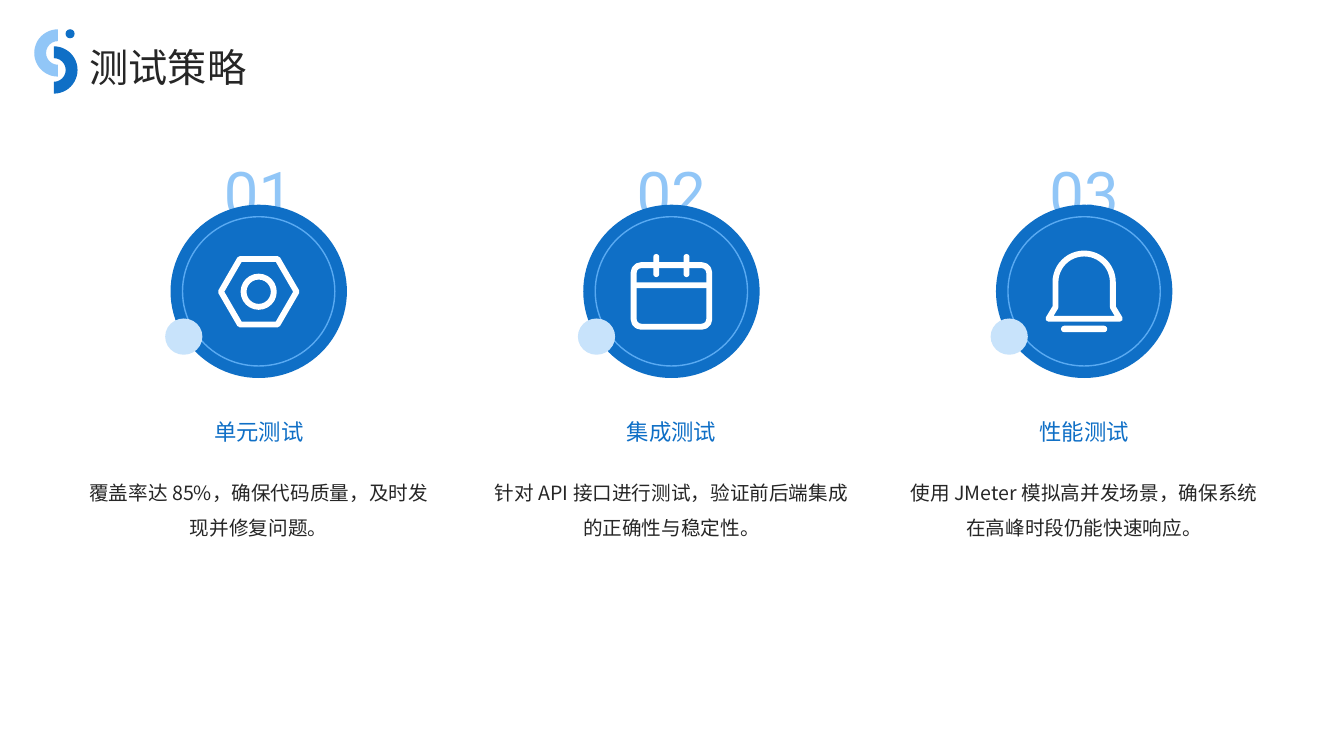
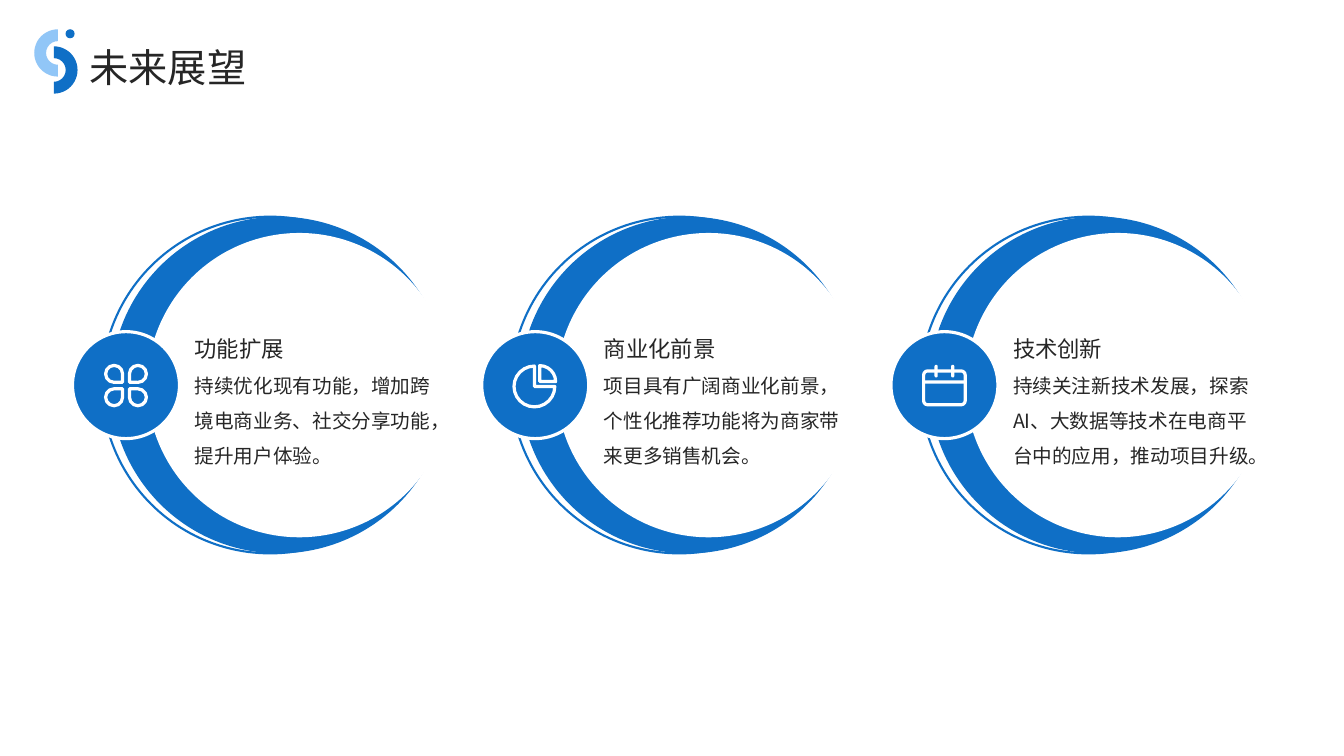
from math import cos, pi, sin

from lxml import etree
from pptx import Presentation
from pptx.dml.color import RGBColor
from pptx.enum.shapes import MSO_SHAPE as Preset
from pptx.enum.text import MSO_ANCHOR as Anchor, PP_ALIGN as Align
from pptx.oxml.ns import qn
from pptx.util import Pt

BLUE, LIGHT_BLUE, PALE_BLUE, RING_BLUE = "0F6FC6", "91C6F7", "C8E3FB", "59AAF2"
INK, WHITE = "262626", "FFFFFF"
color_of = RGBColor.from_string
STROKE = 4.2


def add_shape(slide, preset, box, fill=None, line=None, width=1, rotation=0,
              adjustments=(), points=()):
    """Draw a preset in box (left, top, width, height), or a closed outline through points."""
    if points:
        corners = [(Pt(x), Pt(y)) for x, y in points]
        builder = slide.shapes.build_freeform(*corners[0])
        builder.add_line_segments(corners[1:], close=True)
        shape = builder.convert_to_shape()
    else:
        shape = slide.shapes.add_shape(preset, *map(Pt, box))
    shape.shadow.inherit = False
    shape.rotation = rotation
    for index, value in enumerate(adjustments):
        shape.adjustments[index] = value
    if fill:
        shape.fill.solid()
        shape.fill.fore_color.rgb = color_of(fill)
    else:
        shape.fill.background()
    if line:
        shape.line.color.rgb = color_of(line)
        shape.line.width = Pt(width)
    else:
        shape.line.fill.background()


def add_text(slide, text, box, size=14, color=INK, fade_to=None, font="Noto Sans CJK SC",
             align=Align.LEFT, anchor=Anchor.TOP, spacing=1.3):
    """Add a text box without margins; fade_to turns the colour into a downward gradient."""
    frame = slide.shapes.add_textbox(*map(Pt, box)).text_frame
    frame.word_wrap = True
    frame.vertical_anchor = anchor
    frame.margin_left = frame.margin_right = frame.margin_top = frame.margin_bottom = 0
    paragraph = frame.paragraphs[0]
    paragraph.alignment = align
    paragraph.line_spacing = spacing
    run = paragraph.add_run()
    run.text = text
    run.font.size = Pt(size)
    run.font.name = font
    etree.SubElement(run._r.get_or_add_rPr(), qn("a:ea"), typeface=font)
    if fade_to:
        run.font.fill.gradient()
        run.font.fill.gradient_angle = 270
        for stop, stop_color in zip(run.font.fill.gradient_stops, (color, fade_to)):
            stop.color.rgb = color_of(stop_color)
    else:
        run.font.color.rgb = color_of(color)


# Icon parts: preset, centre x, centre y, width, height (from the icon's centre), options
FILLED = {"fill": WHITE}
ROUND_BAR = {"fill": WHITE, "adjustments": [0.5]}
NUT = [
    (Preset.HEXAGON, 0, 0, 54, 46.8, {"adjustments": [0.29]}),
    (Preset.OVAL, 0, 0, 21.6, 21.6, {}),
]
CALENDAR = [
    (Preset.ROUNDED_RECTANGLE, 0, 3, 54, 44, {"adjustments": [0.12]}),
    (Preset.RECTANGLE, 0, -4.6, 54, STROKE, FILLED),
    (Preset.ROUNDED_RECTANGLE, -10.8, -18.7, STROKE, 16.5, ROUND_BAR),
    (Preset.ROUNDED_RECTANGLE, 10.8, -18.7, STROKE, 16.5, ROUND_BAR),
]
dome = [(-20.5 * cos(pi * i / 24), -6.8 - 20.5 * sin(pi * i / 24)) for i in range(25)]
bell_outline = [(-25.5, 19.3), (-20.5, 11)] + dome + [(20.5, 11), (25.5, 19.3)]
BELL = [
    (None, 0, 0, 0, 0, {"points": bell_outline}),
    (Preset.ROUNDED_RECTANGLE, 0, 26.6, 33, 4.6, ROUND_BAR),
]
CLOVER = [
    (Preset.TEAR, 15.5 * x, 15.2 * y, 22, 22, {"rotation": rotation})
    for x, y, rotation in ((-1, -1, 90), (1, -1, 180), (-1, 1, 0), (1, 1, 270))
]
PIE = [
    (Preset.PIE, -1, 1.2, 53, 53, {"adjustments": [0, 162]}),
    (Preset.PIE, 5.8, -5.2, 41.4, 41.4, {"adjustments": [162, 0]}),
]

presentation = Presentation()
presentation.slide_width, presentation.slide_height = Pt(960), Pt(540)

# Title and ornament on every slide
slides = []
for title in ("测试策略", "未来展望"):
    slide = presentation.slides.add_slide(presentation.slide_layouts[6])
    add_text(slide, title, (64.1, 20.9, 817, 42.5), size=28)
    add_shape(slide, Preset.BLOCK_ARC, (24.5, 20.9, 33.8, 33.8), LIGHT_BLUE, rotation=270)
    add_shape(slide, Preset.BLOCK_ARC, (21.6, 33.1, 33.8, 33.8), BLUE, rotation=90)
    add_shape(slide, Preset.OVAL, (46.8, 20.9, 6.5, 6.5), BLUE)
    slides.append(slide)
strategy_slide, outlook_slide = slides
icon_places = []

# Test strategy: three numbered discs
tests = [
    ("单元测试", "覆盖率达 85%，确保代码质量，及时发现并修复问题。", NUT),
    ("集成测试", "针对 API 接口进行测试，验证前后端集成的正确性与稳定性。", CALENDAR),
    ("性能测试", "使用 JMeter 模拟高并发场景，确保系统在高峰时段仍能快速响应。", BELL),
]
for index, (heading, body, icon) in enumerate(tests):
    center = 184.8 + 294.8 * index
    add_text(strategy_slide, f"{index + 1:02}", (center - 38.2, 104.4, 76.3, 49.7), size=44,
             color=LIGHT_BLUE, fade_to=WHITE, font="Roboto", align=Align.CENTER,
             anchor=Anchor.MIDDLE)
    add_shape(strategy_slide, Preset.OVAL, (center - 63, 146.2, 126, 123.8), BLUE)
    add_shape(strategy_slide, Preset.OVAL, (center - 54.4, 154.8, 108.8, 106.6), BLUE, RING_BLUE)
    add_shape(strategy_slide, Preset.OVAL, (center - 66.8, 227.5, 26.6, 25.9), PALE_BLUE)
    add_text(strategy_slide, body, (center - 126.7, 334.8, 253.4, 132.5),
             align=Align.CENTER, spacing=1.5)
    add_text(strategy_slide, heading, (center - 126.7, 277.2, 253.4, 56.9), size=16,
             color=BLUE, align=Align.CENTER, anchor=Anchor.MIDDLE)
    icon_places.append((strategy_slide, icon, center, 208.4, 1))

# Outlook: three crescents with a badge
outlooks = [
    ("功能扩展", "持续优化现有功能，增加跨境电商业务、社交分享功能，提升用户体验。", CLOVER),
    ("商业化前景", "项目具有广阔商业化前景，个性化推荐功能将为商家带来更多销售机会。", PIE),
    ("技术创新", "持续关注新技术发展，探索 AI、大数据等技术在电商平台中的应用，推动项目升级。",
     CALENDAR),
]
for index, (heading, body, icon) in enumerate(outlooks):
    center = 90 + 292.3 * index
    add_shape(outlook_slide, Preset.OVAL, (center - 17.3, 154.8, 240.5, 240.5), WHITE, BLUE, 1.5)
    add_shape(outlook_slide, Preset.OVAL, (center - 10.8, 154.8, 240.5, 240.5), BLUE)
    add_shape(outlook_slide, Preset.OVAL, (center + 15.1, 166.4, 217.4, 217.4), WHITE)
    add_shape(outlook_slide, Preset.OVAL, (center - 38.2, 236.9, 76.4, 76.4), BLUE, WHITE, 2.25)
    add_text(outlook_slide, body, (center + 49, 258.5, 178.6, 87.1), spacing=1.5)
    add_text(outlook_slide, heading, (center + 49, 226.8, 178.6, 31.7), size=16,
             anchor=Anchor.BOTTOM)
    icon_places.append((outlook_slide, icon, center, 275.4, 0.55))

for slide, icon, center_x, center_y, scale in icon_places:
    for preset, x, y, width, height, options in icon:
        box = (center_x + scale * (x - width / 2), center_y + scale * (y - height / 2),
               scale * width, scale * height)
        options = dict(options)
        if "points" in options:
            options["points"] = [(center_x + scale * px, center_y + scale * py)
                                 for px, py in options["points"]]
        if "fill" not in options:
            options.update(line=WHITE, width=STROKE * scale)
        add_shape(slide, preset, box, **options)

presentation.save("out.pptx")
